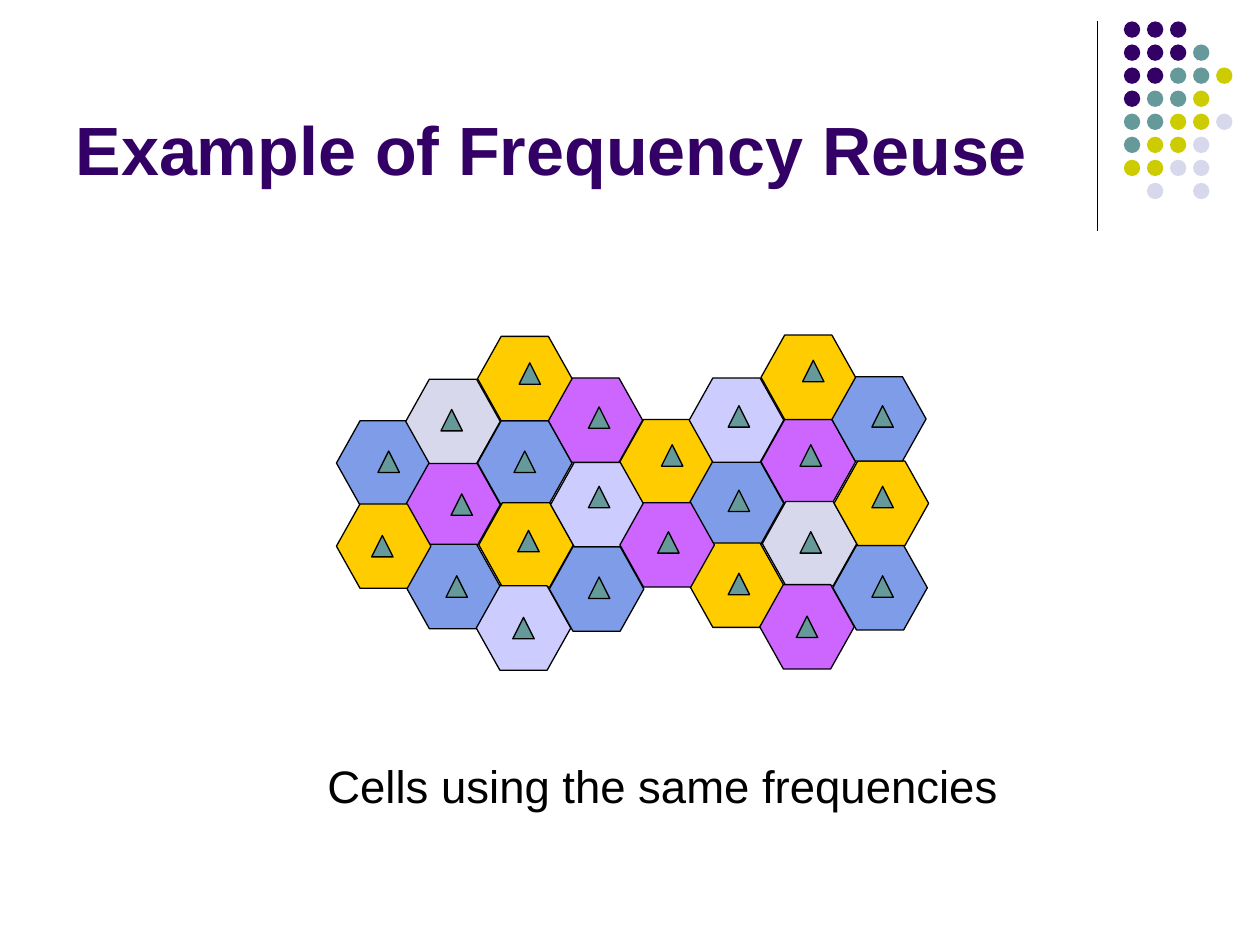
"""Builds a slide showing frequency reuse across two clusters of hexagonal cells."""
from lxml.etree import SubElement
from pptx import Presentation
from pptx.dml.color import RGBColor
from pptx.enum.shapes import MSO_CONNECTOR, MSO_SHAPE
from pptx.enum.text import MSO_ANCHOR, MSO_AUTO_SIZE, PP_ALIGN
from pptx.oxml.ns import qn
from pptx.util import Inches, Pt

TITLE = "Example of Frequency Reuse"
CAPTION = "Cells using the same frequencies"

BLACK, PURPLE, TEAL = "000000", "330066", "669999"
COLOURS = {
    "P": PURPLE, "T": TEAL, "O": "CCCC00", "G": "D8D8EC",
    "B": "7E9CE8", "V": "CC66FF", "Y": "FFCC00", "L": "CCCCFF",
}
DOT_ROWS = ["PPP", "PPPT", "PPTTO", "PTTO", "TTOOG", "TOOG", "OOGG", " G G"]
DOT_LEFT, DOT_TOP, DOT_PITCH, DOT_SIZE = 8.92, 0.17, 0.183, 0.13

CELL_SPOTS = [
    (2.67, 3.34), (3.22, 3.67), (3.22, 3.01), (3.79, 3.34),
    (3.80, 3.99), (3.22, 4.32), (2.67, 4.00), (3.78, 4.65),
    (4.36, 4.34), (4.37, 3.67), (4.35, 3.00), (3.79, 2.67),
]
CELL_WIDTH, CELL_HEIGHT, STATION_SIZE = 0.75, 0.67, 0.17
CLUSTERS = [
    {
        "shift": (0, 0),
        "colours": "BVGBYBYLBLVY",
        "stations": [
            (3.00, 3.58), (3.58, 3.92), (3.50, 3.25), (4.08, 3.58),
            (4.11, 4.21), (3.54, 4.57), (2.95, 4.25), (4.07, 4.90),
            (4.67, 4.58), (4.67, 3.86), (4.67, 3.23), (4.12, 2.88),
        ],
    },
    {
        "shift": (2.25, -0.01),
        "colours": "YBLVGYVVBYBY",
        "stations": [
            (5.25, 3.53), (5.78, 3.89), (5.78, 3.22), (6.35, 3.53),
            (6.35, 4.22), (5.78, 4.55), (5.22, 4.22), (6.32, 4.89),
            (6.92, 4.57), (6.92, 3.86), (6.92, 3.22), (6.37, 2.86),
        ],
    },
]


def paint(colour_format, hex_colour):
    colour_format.rgb = RGBColor.from_string(hex_colour)


def add_figure(slide, kind, left, top, width, height, fill, outlined=True):
    figure = slide.shapes.add_shape(
        kind, Inches(left), Inches(top), Inches(width), Inches(height))
    figure.shadow.inherit = False
    figure.fill.solid()
    paint(figure.fill.fore_color, fill)
    if outlined:
        figure.line.width = Pt(0.75)
        paint(figure.line.color, BLACK)
    else:
        figure.line.fill.background()
    return figure


def write(frame, words, size, colour, bold):
    frame.text = words
    paragraph = frame.paragraphs[0]
    paragraph.alignment = PP_ALIGN.LEFT
    font = paragraph.runs[0].font
    font.name, font.size, font.bold = "Arial", Pt(size), bold
    paint(font.color, colour)


def add_ornament(slide):
    rule = slide.shapes.add_connector(
        MSO_CONNECTOR.STRAIGHT, Inches(8.71), Inches(0.17), Inches(8.71), Inches(1.83))
    rule.line.width = Pt(0.75)
    paint(rule.line.color, BLACK)
    SubElement(rule._element.spPr, qn("a:effectLst"))
    for row, keys in enumerate(DOT_ROWS):
        for column, key in enumerate(keys):
            if key in COLOURS:
                add_figure(slide, MSO_SHAPE.OVAL, DOT_LEFT + column * DOT_PITCH,
                           DOT_TOP + row * DOT_PITCH, DOT_SIZE, DOT_SIZE,
                           COLOURS[key], outlined=False)


def add_cells(slide):
    for cluster in CLUSTERS:
        shift_x, shift_y = cluster["shift"]
        for (left, top), key in zip(CELL_SPOTS, cluster["colours"]):
            cell = add_figure(slide, MSO_SHAPE.HEXAGON, left + shift_x, top + shift_y,
                              CELL_WIDTH, CELL_HEIGHT, COLOURS[key])
            cell.adjustments[0] = 0.28
    for cluster in CLUSTERS:
        for left, top in cluster["stations"]:
            add_figure(slide, MSO_SHAPE.ISOSCELES_TRIANGLE, left, top,
                       STATION_SIZE, STATION_SIZE, TEAL)


def main():
    presentation = Presentation()
    presentation.slide_width, presentation.slide_height = Inches(10), Inches(7.5)
    slide = presentation.slides.add_slide(presentation.slide_layouts[5])
    add_ornament(slide)

    title = slide.shapes.title
    title.left, title.top = Inches(0.5), Inches(0.13)
    title.width, title.height = Inches(8.25), Inches(1.42)
    title.text_frame.vertical_anchor = MSO_ANCHOR.BOTTOM
    title.text_frame.auto_size = MSO_AUTO_SIZE.NONE
    write(title.text_frame, TITLE, 39, PURPLE, True)

    add_cells(slide)

    caption = slide.shapes.add_textbox(Inches(2.5), Inches(5.97), Inches(5.53), Inches(0.53))
    caption.text_frame.word_wrap = False
    caption.text_frame.auto_size = MSO_AUTO_SIZE.SHAPE_TO_FIT_TEXT
    write(caption.text_frame, CAPTION, 26, BLACK, False)
    presentation.save("out.pptx")


if __name__ == "__main__":
    main()
